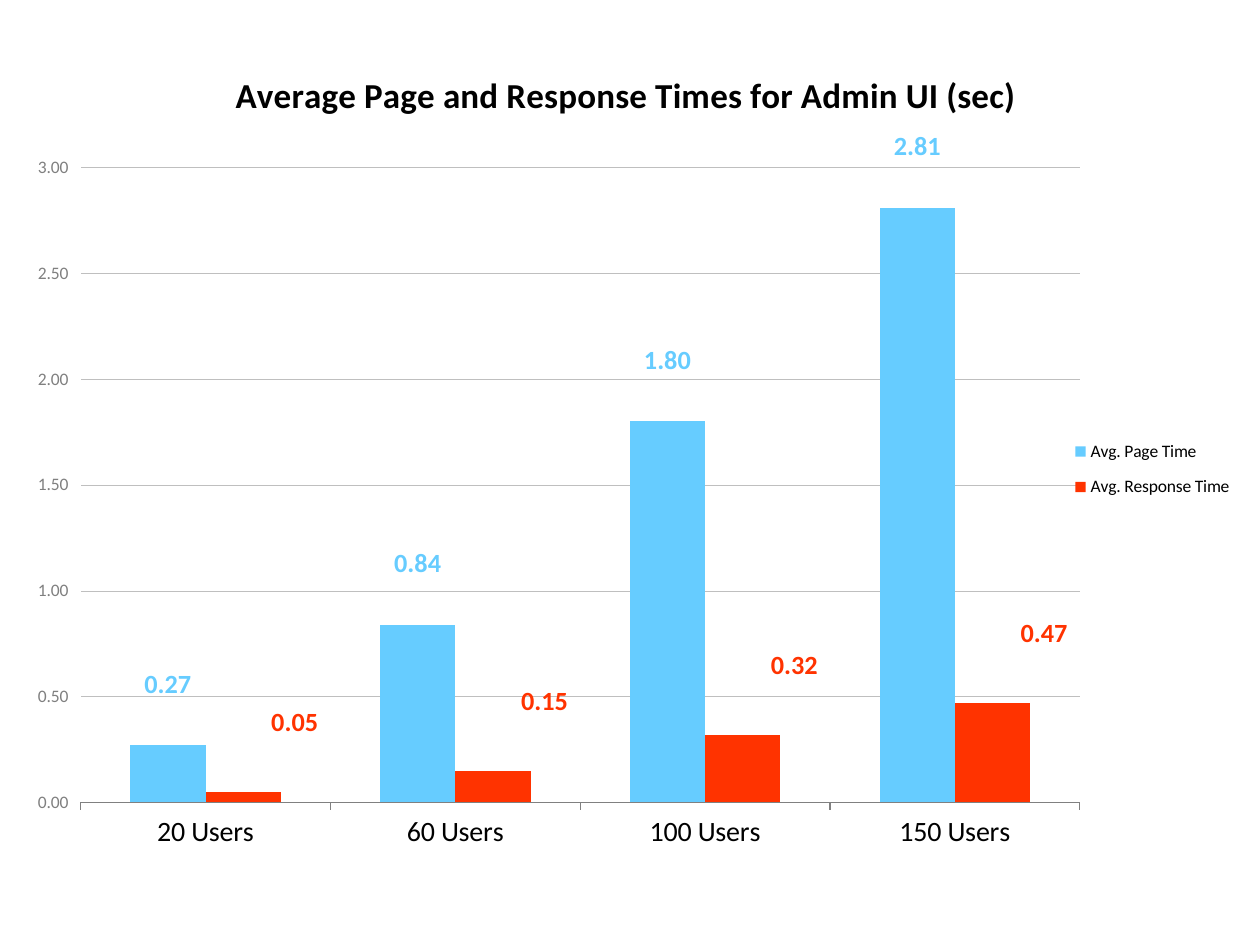
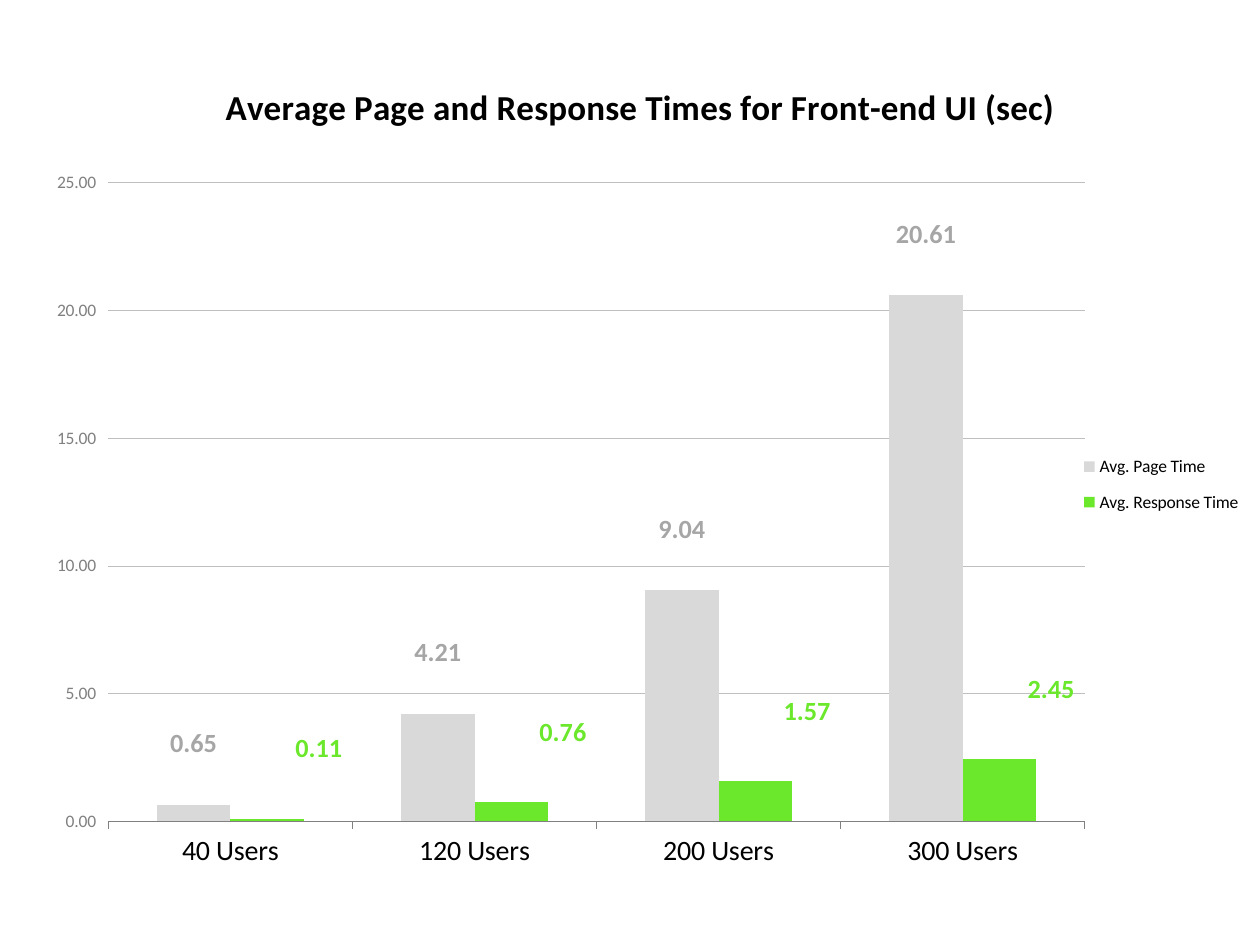
from pptx import Presentation
from pptx.chart.data import CategoryChartData
from pptx.dml.color import RGBColor
from pptx.enum.chart import (XL_CHART_TYPE, XL_LABEL_POSITION,
                             XL_LEGEND_POSITION, XL_TICK_MARK)
from pptx.oxml import parse_xml
from pptx.oxml.ns import nsdecls, qn
from pptx.util import Inches, Pt

FONT = "Calibri"
BLACK = RGBColor(0x00, 0x00, 0x00)
GRAY = RGBColor(0x80, 0x80, 0x80)
GRID = RGBColor(0xBF, 0xBF, 0xBF)
SKY = RGBColor(0x66, 0xCC, 0xFF)
RED = RGBColor(0xFF, 0x33, 0x00)
SILVER = RGBColor(0xD9, 0xD9, 0xD9)
STEEL = RGBColor(0xA6, 0xA6, 0xA6)
GREEN = RGBColor(0x6B, 0xE8, 0x2C)

FORMAT = "0.00"
NAMES = ("Avg. Page Time", "Avg. Response Time")
SHIFTS = ((0, -0.32), (0.41, -0.39))  # label offsets per series, inches


def style(font, size=10, color=BLACK, bold=False):
    font.name = FONT
    font.size = Pt(size)
    font.bold = bold
    font.color.rgb = color


def write(frame, text, **form):
    frame.text = text
    style(frame.paragraphs[0].runs[0].font, **form)


def place(node, index, box, spot, inner=False, edge=True):
    """Lay out a chart part; spot is in inches within the chart's box."""
    for old in node.findall(qn("c:layout")):
        node.remove(old)
    tags = []
    if inner:
        tags.append(("layoutTarget", "inner"))
    if edge:
        tags += [("xMode", "edge"), ("yMode", "edge")]
    wide, high = box[2:]
    for tag, length, full in zip("xywh", spot, (wide, high, wide, high)):
        tags.append((tag, round(length / full, 4)))
    body = "".join(f'<c:{tag} val="{val}"/>' for tag, val in tags)
    node.insert(index, parse_xml(
        f'<c:layout {nsdecls("c")}><c:manualLayout>{body}'
        '</c:manualLayout></c:layout>'))


def drop_leaders(node):
    """Turn off the lines from bars to their moved labels."""
    for old in node.findall(qn("c:showLeaderLines")):
        node.remove(old)
    node.append(parse_xml(f'<c:showLeaderLines {nsdecls("c")} val="0"/>'))
    node.append(parse_xml(
        f'<c:extLst {nsdecls("c")}>'
        '<c:ext uri="{CE6537A1-D6FC-4f65-9D91-7224C49458BB}" xmlns:c15='
        '"http://schemas.microsoft.com/office/drawing/2012/chart">'
        '<c15:showLeaderLines val="0"/></c:ext></c:extLst>'))


def set_axes(chart, top, step):
    cat = chart.category_axis
    style(cat.tick_labels.font, size=16)
    cat.major_tick_mark = XL_TICK_MARK.OUTSIDE
    cat.format.line.color.rgb = GRAY
    cat.has_major_gridlines = False

    val = chart.value_axis
    val.minimum_scale, val.maximum_scale, val.major_unit = 0, top, step
    style(val.tick_labels.font, color=GRAY)
    val.tick_labels.number_format = FORMAT
    val.tick_labels.number_format_is_linked = False
    val.major_tick_mark = XL_TICK_MARK.OUTSIDE
    val.format.line.fill.background()
    grid = val.major_gridlines.format.line
    grid.color.rgb = GRID
    grid.width = Pt(0.25)


def set_bars(series, fill, ink, box, shift):
    series.format.fill.solid()
    series.format.fill.fore_color.rgb = fill
    labels = series.data_labels
    labels.show_value = True
    labels.number_format = FORMAT
    labels.number_format_is_linked = False
    labels.position = XL_LABEL_POSITION.OUTSIDE_END
    style(labels.font, size=15, color=ink, bold=True)
    for index in range(len(series.values)):
        label = series.points[index].data_label
        style(label.font, size=15, color=ink, bold=True)
        label.position = XL_LABEL_POSITION.OUTSIDE_END
    for node in labels._element.findall(qn("c:dLbl")):
        place(node, 1, box, shift, edge=False)
    drop_leaders(labels._element)


def add_bars(deck, title, users, times, fills, inks, scale, box,
             plot, head, key):
    """Add a slide with one chart; plot, head and key place its parts."""
    data = CategoryChartData(number_format=FORMAT)
    data.categories = [f"{count} Users" for count in users]
    for name, values in zip(NAMES, times):
        data.add_series(name, values)
    slide = deck.slides.add_slide(deck.slide_layouts[6])
    chart = slide.shapes.add_chart(XL_CHART_TYPE.COLUMN_CLUSTERED,
                                   *map(Inches, box), data).chart
    style(chart.font)
    chart.has_title = True
    write(chart.chart_title.text_frame, title, size=20, bold=True)
    chart.has_legend = True
    chart.legend.position = XL_LEGEND_POSITION.RIGHT
    chart.legend.include_in_layout = False
    style(chart.legend.font)

    bars = chart.plots[0]
    bars.gap_width, bars.overlap = 132, 0
    bars.vary_by_categories = False
    for series, fill, ink, shift in zip(bars.series, fills, inks, SHIFTS):
        set_bars(series, fill, ink, box, shift)
    set_axes(chart, *scale)

    root = chart.element
    place(root.xpath(".//c:plotArea")[0], 0, box, plot, inner=True)
    place(root.xpath(".//c:title")[0], 1, box, head)
    place(root.xpath(".//c:legend")[0], 1, box, key)


def main():
    deck = Presentation()
    deck.slide_width, deck.slide_height = Inches(10), Inches(7.5)
    add_bars(deck, "Average Page and Response Times for Admin UI (sec)",
             users=(20, 60, 100, 150),
             times=((0.27, 0.84, 1.80, 2.81), (0.05, 0.15, 0.32, 0.47)),
             fills=(SKY, RED), inks=(SKY, RED), scale=(3, 0.5),
             box=(0.08, 0.33, 9.78, 6.59), plot=(0.56, 1, 7.93, 5.04),
             head=(1.74, 0.18), key=(8.38, 3.05, 1.37, 0.69))
    add_bars(deck, "Average Page and Response Times for Front-end UI (sec)",
             users=(40, 120, 200, 300),
             times=((0.65, 4.21, 9.04, 20.61), (0.11, 0.76, 1.57, 2.45)),
             fills=(SILVER, GREEN), inks=(STEEL, GREEN), scale=(25, 5),
             box=(0.25, 0.42, 9.67, 6.67), plot=(0.61, 1.03, 7.75, 5.07),
             head=(1.49, 0.18), key=(8.28, 3.08, 1.37, 0.69))
    deck.save("out.pptx")


if __name__ == "__main__":
    main()
